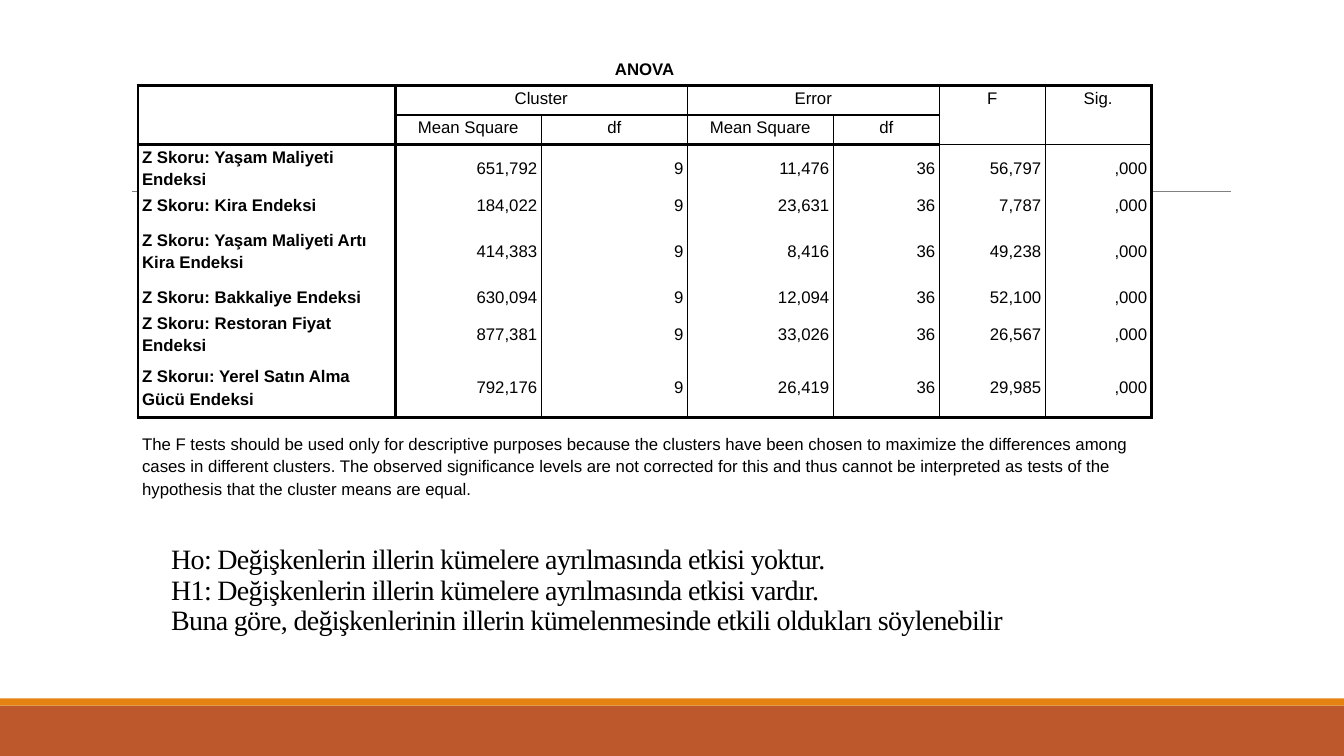
from lxml import etree
from pptx import Presentation
from pptx import util as u
from pptx.dml.color import RGBColor
from pptx.enum import shapes, text
from pptx.oxml.ns import qn

COLORS = {
    "ink": "000000",
    "paper": "FFFFFF",
    "rust": "BD582C",
    "orange": "E48312",
    "rule": "808080",
}
THIN, THICK = 1, 2.25
COLUMN_WIDTHS = [6.48] + [3.68] * 3 + [2.67] * 3
ROW_HEIGHTS = [0.74, 0.74, 0.74, 1.12, 0.74, 1.57, 0.74, 1.12, 1.57, 2.41]
NOTE = (
    "The F tests should be used only for descriptive purposes because the clusters "
    "have been chosen to maximize the differences among cases in different clusters. "
    "The observed significance levels are not corrected for this and thus cannot be "
    "interpreted as tests of the hypothesis that the cluster means are equal."
)
ANOVA_ROWS = [
    ["ANOVA"],
    ["", "Cluster", "", "Error", "", "F", "Sig."],
    ["", "Mean Square", "df", "Mean Square", "df", "", ""],
    ["Z Skoru: Yaşam Maliyeti Endeksi", "651,792", "9", "11,476", "36", "56,797", ",000"],
    ["Z Skoru: Kira Endeksi", "184,022", "9", "23,631", "36", "7,787", ",000"],
    ["Z Skoru: Yaşam Maliyeti Artı Kira Endeksi", "414,383", "9", "8,416", "36", "49,238", ",000"],
    ["Z Skoru: Bakkaliye Endeksi", "630,094", "9", "12,094", "36", "52,100", ",000"],
    ["Z Skoru: Restoran Fiyat Endeksi", "877,381", "9", "33,026", "36", "26,567", ",000"],
    ["Z Skoruı: Yerel Satın Alma Gücü Endeksi", "792,176", "9", "26,419", "36", "29,985", ",000"],
    [NOTE],
]
MERGES = [
    (0, 0, 0, 6), (1, 0, 2, 0), (1, 1, 1, 2), (1, 3, 1, 4),
    (1, 5, 2, 5), (1, 6, 2, 6), (9, 0, 9, 6),
]
HYPOTHESES = [
    "Ho: Değişkenlerin illerin kümelere ayrılmasında etkisi yoktur.",
    "H1: Değişkenlerin illerin kümelere ayrılmasında etkisi vardır.",
    "Buna göre, değişkenlerinin illerin kümelenmesinde etkili oldukları söylenebilir",
]


def color(name):
    return RGBColor.from_string(COLORS[name])


def add_band(slide, top, height, fill):
    band = slide.shapes.add_shape(
        shapes.MSO_SHAPE.RECTANGLE, 0, u.Cm(top), u.Cm(33.87), u.Cm(height))
    band.shadow.inherit = False
    band.fill.solid()
    band.fill.fore_color.rgb = color(fill)
    band.line.fill.background()


def add_rule(slide, left, right, top):
    rule = slide.shapes.add_connector(
        shapes.MSO_CONNECTOR.STRAIGHT, u.Cm(left), u.Cm(top), u.Cm(right), u.Cm(top))
    rule.line.color.rgb = color("rule")
    rule.line.width = u.Pt(0.5)
    etree.SubElement(rule._element.spPr, qn("a:effectLst"))


def format_title(title):
    title.left, title.top, title.width, title.height = map(u.Cm, (4.06, 12.98, 27.94, 5.16))
    frame = title.text_frame
    frame.text = "\v".join(HYPOTHESES)
    frame.auto_size = text.MSO_AUTO_SIZE.NONE
    frame.word_wrap = True
    frame.vertical_anchor = text.MSO_ANCHOR.BOTTOM
    frame.margin_bottom = u.Cm(2.1)
    paragraph = frame.paragraphs[0]
    paragraph.alignment = text.PP_ALIGN.LEFT
    paragraph.line_spacing = 0.9
    for run in paragraph.runs:
        run.font.size = u.Pt(20)
        run.font.name = "Times New Roman"
        run.font.color.rgb = color("ink")
        run._r.get_or_add_rPr().set("spc", "-50")


def vertical_weight(row, edge):
    if not 1 <= row <= 8 or (row == 1 and edge in (2, 4)):
        return 0
    return THICK if edge in (0, 1, 7) else THIN


def horizontal_weight(edge, column):
    if edge in (1, 9):
        return THICK
    if edge == 2:
        return THIN if 1 <= column <= 4 else 0
    if edge == 3:
        return THICK if column <= 4 else THIN
    return 0


def draw_borders(cell, row, column):
    last_row, last_column = row, column
    if cell.is_merge_origin:
        last_row += cell.span_height - 1
        last_column += cell.span_width - 1
    weights = {
        "a:lnL": vertical_weight(row, column),
        "a:lnR": vertical_weight(row, last_column + 1),
        "a:lnT": horizontal_weight(row, column),
        "a:lnB": horizontal_weight(last_row + 1, column),
    }
    properties = cell._tc.get_or_add_tcPr()
    for side, weight in weights.items():
        border = etree.SubElement(properties, qn(side), w=str(int(u.Pt(weight))))
        if weight:
            ink = etree.SubElement(border, qn("a:solidFill"))
            etree.SubElement(ink, qn("a:srgbClr"), val=COLORS["ink"])
        else:
            etree.SubElement(border, qn("a:noFill"))


def format_cell(cell, row, column):
    draw_borders(cell, row, column)
    cell.fill.solid()
    cell.fill.fore_color.rgb = color("paper")
    cell.margin_left = cell.margin_right = u.Cm(0.1)
    cell.margin_top = cell.margin_bottom = 0
    header = row < 3
    cell.vertical_anchor = text.MSO_ANCHOR.TOP if header else text.MSO_ANCHOR.MIDDLE
    paragraph = cell.text_frame.paragraphs[0]
    paragraph.line_spacing = u.Pt(16)
    if header:
        paragraph.alignment = text.PP_ALIGN.CENTER
    else:
        paragraph.alignment = text.PP_ALIGN.RIGHT if column else text.PP_ALIGN.LEFT
    paragraph.font.size = u.Pt(12)
    for run in paragraph.runs:
        run.font.size = u.Pt(12)
        run.font.name = "Arial"
        run.font.bold = column == 0 and row < 9
        run.font.color.rgb = color("ink")


def add_anova_table(slide):
    anova = slide.shapes.add_table(
        len(ROW_HEIGHTS), len(COLUMN_WIDTHS), u.Cm(3.48), u.Cm(1.42),
        u.Cm(sum(COLUMN_WIDTHS)), u.Cm(sum(ROW_HEIGHTS))).table
    anova.first_row = anova.horz_banding = False
    for column, width in zip(anova.columns, COLUMN_WIDTHS):
        column.width = u.Cm(width)
    for row, height in zip(anova.rows, ROW_HEIGHTS):
        row.height = u.Cm(height)
    for top, left, bottom, right in MERGES:
        anova.cell(top, left).merge(anova.cell(bottom, right))
    for row, values in enumerate(ANOVA_ROWS):
        for column, value in enumerate(values):
            anova.cell(row, column).text_frame.text = value
        for column in range(len(COLUMN_WIDTHS)):
            format_cell(anova.cell(row, column), row, column)


def main():
    deck = Presentation()
    deck.slide_width, deck.slide_height = u.Cm(33.87), u.Cm(19.05)
    slide = deck.slides.add_slide(deck.slide_layouts[5])
    add_band(slide, 17.78, 1.27, "rust")
    add_band(slide, 17.6, 0.18, "orange")
    add_rule(slide, 3.33, 31.01, 4.83)
    format_title(slide.shapes.title)
    add_anova_table(slide)
    deck.save("out.pptx")


if __name__ == "__main__":
    main()
